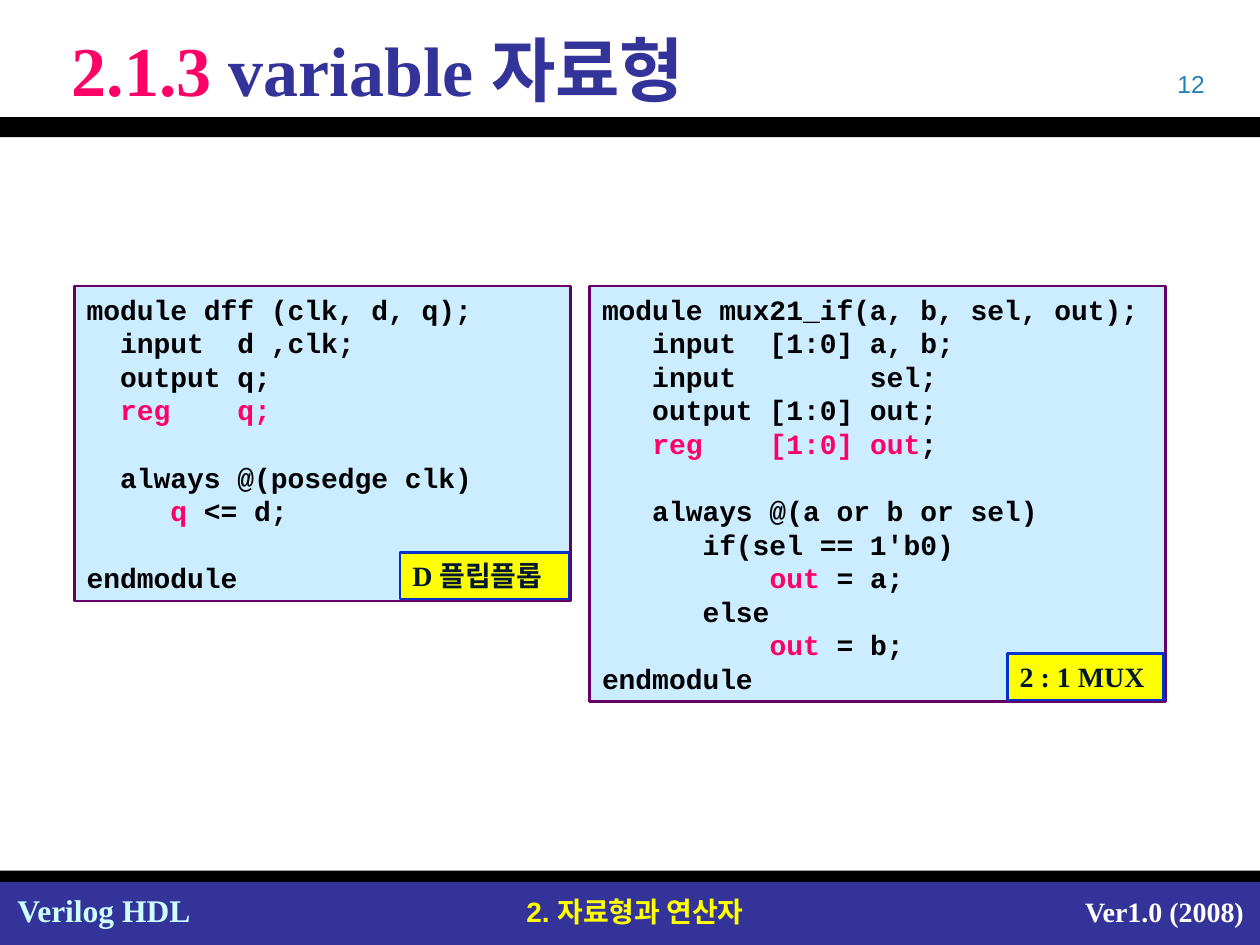
from pptx import Presentation
from pptx.dml.color import RGBColor
from pptx.enum.shapes import MSO_SHAPE as SHAPE
from pptx.enum.text import MSO_ANCHOR as ANCHOR, PP_ALIGN as ALIGN
from pptx.util import Inches, Pt

SERIF, SANS, MONO = "Times New Roman", "Arial", "Courier New"
PINK, NAVY, BLACK = "FF0066", "333399", "000000"
MARK = "~"  # text between two marks is pink

TITLE = "~2.1.3~ variable 자료형"
PAGE = "12"

BARS = [  # top, height, colour
    (7, 0.5, NAVY),
    (0.93, 0.16, BLACK),
    (6.91, 0.09, BLACK),
]

FOOTER = [  # text, box, font, size, colour, alignment
    ("Verilog HDL", (0.04, 7.02, 1.58, 0.4), SERIF, 18, "CCFFFF", ALIGN.LEFT),
    ("2. 자료형과 연산자", (3.9, 7.05, 2.28, 0.37), SANS, 16, "FFFF00", ALIGN.CENTER),
    ("Ver1.0 (2008)", (8.39, 7.05, 1.58, 0.37), SERIF, 16, "FFFFFF", ALIGN.RIGHT),
]

DFF = """module dff (clk, d, q);
  input  d ,clk;
  output q;
  ~reg    q;~

  always @(posedge clk)
     ~q~ <= d;

endmodule"""

MUX = """module mux21_if(a, b, sel, out);
   input  [1:0] a, b;
   input        sel;
   output [1:0] out;
   ~reg    [1:0] out~;

   always @(a or b or sel)
      if(sel == 1'b0)
          ~out~ = a;
      else
          ~out~ = b;
endmodule"""

LISTINGS = [  # code, box, label, label width
    (MUX, (4.68, 2.27, 4.57, 3.3), "2 : 1 MUX", 1.24),
    (DFF, (0.59, 2.27, 3.94, 2.5), "D 플립플롭", 1.34),
]
LABEL_H, LABEL_GAP = 0.37, 0.015

prs = Presentation()
prs.slide_width, prs.slide_height = Inches(10), Inches(7.5)
s = prs.slides.add_slide(prs.slide_layouts[6])


def rgb(color):
    return RGBColor.from_string(color)


def add_box(box, fill, line=None):
    sp = s.shapes.add_shape(SHAPE.RECTANGLE, *map(Inches, box))
    sp.shadow.inherit = False
    sp.fill.solid()
    sp.fill.fore_color.rgb = rgb(fill)
    if line:
        sp.line.color.rgb = rgb(line)
        sp.line.width = Pt(1.5)
    else:
        sp.line.fill.background()
    return sp


def add_text(box):
    return s.shapes.add_textbox(*map(Inches, box))


def write(sp, text, font, size, color, bold=True, align=ALIGN.LEFT, anchor=ANCHOR.TOP):
    """Fill a shape with one paragraph per line, pink between marks."""
    tf = sp.text_frame
    tf.word_wrap = True
    tf.vertical_anchor = anchor
    for i, line in enumerate(text.split("\n")):
        p = tf.add_paragraph() if i else tf.paragraphs[0]
        p.alignment = align
        p.font.name, p.font.size, p.font.bold = font, Pt(size), bold
        for j, part in enumerate(line.split(MARK)):
            if part or not line:
                r = p.add_run()
                r.text = part
                r.font.color.rgb = rgb(PINK if j % 2 else color)


for top, height, color in BARS:
    add_box((0, top, 10, height), color)

for text, box, font, size, color, align in FOOTER:
    write(add_text(box), text, font, size, color, align=align)

write(add_text((7.33, 0.5, 2.33, 0.33)), PAGE, SANS, 14, "2181B7",
      bold=False, align=ALIGN.RIGHT)
write(add_text((0.47, 0.13, 9.37, 0.83)), TITLE, SERIF, 40, NAVY, anchor=ANCHOR.MIDDLE)

for code, box, label, label_w in LISTINGS:
    write(add_box(box, "CCECFF", "660066"), code, MONO, 16, BLACK)
    left, top, width, height = box
    corner = (left + width - label_w - LABEL_GAP,
              top + height - LABEL_H - LABEL_GAP, label_w, LABEL_H)
    write(add_box(corner, "FFFF00", "0033CC"), label, SERIF, 16, "001932")

prs.save("out.pptx")
